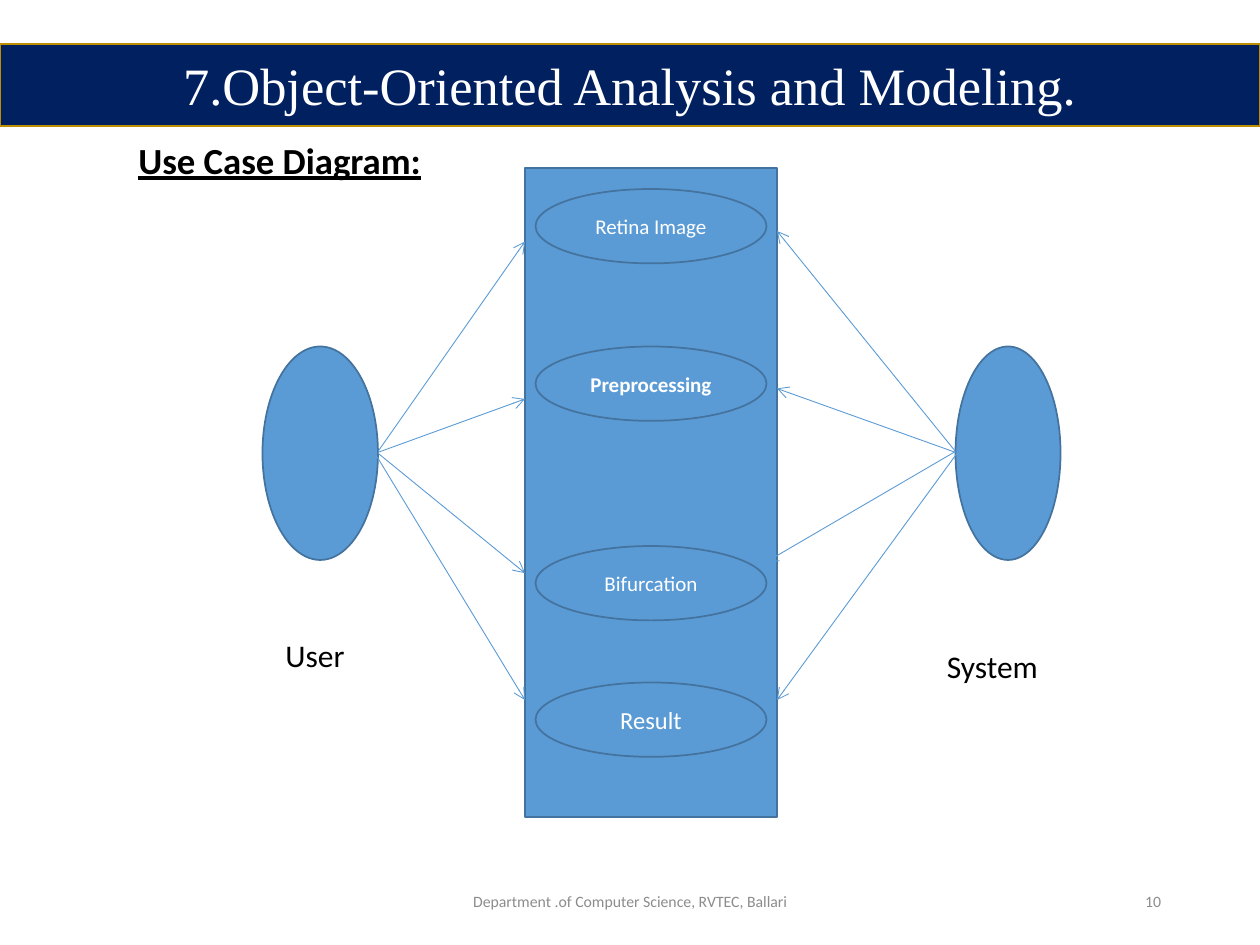
"""Build a use case diagram slide linking a user and a system to four steps."""
from lxml.etree import SubElement
from pptx import Presentation
from pptx.dml.color import RGBColor
from pptx.enum.shapes import MSO_CONNECTOR, MSO_SHAPE
from pptx.enum.text import MSO_ANCHOR, MSO_AUTO_SIZE, PP_ALIGN
from pptx.oxml.ns import qn
from pptx.util import Pt

BLUE, EDGE, WHITE, BLACK, GRAY = "5B9BD5", "43739E", "FFFFFF", "000000", "8C8C8C"


def color(hex_string):
    return RGBColor.from_string(hex_string)


def write(shape, text, size, hex_string, align=PP_ALIGN.CENTER, anchor=MSO_ANCHOR.MIDDLE, name="Calibri"):
    text_frame = shape.text_frame
    text_frame.text = text
    text_frame.word_wrap = True
    text_frame.vertical_anchor = anchor
    paragraph = text_frame.paragraphs[0]
    paragraph.alignment = align
    font = paragraph.runs[0].font
    font.name, font.size = name, Pt(size)
    font.color.rgb = color(hex_string)
    return paragraph


presentation = Presentation()
presentation.slide_width, presentation.slide_height = Pt(720), Pt(540)
slide = presentation.slides.add_slide(presentation.slide_layouts[6])
shapes = slide.shapes

heading = shapes.add_textbox(Pt(72), Pt(78), Pt(612), Pt(402))
paragraph = write(heading, "Use Case Diagram:", 21, BLACK, PP_ALIGN.LEFT, MSO_ANCHOR.TOP)
paragraph.line_spacing = 0.9
paragraph.space_before = Pt(7.5)
paragraph.runs[0].font.bold = True
paragraph.runs[0].font.underline = True

for text, left, width, align in [
    ("Department .of Computer Science, RVTEC, Ballari", 238.5, 243, PP_ALIGN.CENTER),
    ("10", 508.5, 162, PP_ALIGN.RIGHT),
]:
    footer = shapes.add_textbox(Pt(left), Pt(500.5), Pt(width), Pt(28.75))
    write(footer, text, 9, GRAY, align)

steps = [
    ("Retina Image", 108, 12),
    ("Preprocessing", 198, 12),
    ("Bifurcation", 312, 12),
    ("Result", 390, 14),
]
outlines = [
    (MSO_SHAPE.RECTANGLE, 0, 25, 720, 47, "002060", "BD8E00", "7.Object-Oriented Analysis and Modeling.", 30),
    (MSO_SHAPE.RECTANGLE, 300, 96, 144, 371, BLUE, EDGE, "", 0),
]
for text, top, size in steps:
    outlines.append((MSO_SHAPE.OVAL, 306, top, 132, 42.5, BLUE, EDGE, text, size))
for left, width in [(150, 66), (546, 60)]:
    outlines.append((MSO_SHAPE.OVAL, left, 198, width, 122, BLUE, EDGE, "", 0))

for kind, left, top, width, height, fill, line, text, size in outlines:
    shape = shapes.add_shape(kind, Pt(left), Pt(top), Pt(width), Pt(height))
    shape.shadow.inherit = False
    shape.fill.solid()
    shape.fill.fore_color.rgb = color(fill)
    shape.line.color.rgb = color(line)
    shape.line.width = Pt(1)
    if text:
        paragraph = write(shape, text, size, WHITE, name="Times New Roman" if size == 30 else "Calibri")
        paragraph.runs[0].font.bold = text == "Preprocessing"

for text, left, top, width in [("User", 156, 360, 49), ("System", 534, 366, 67)]:
    label = shapes.add_textbox(Pt(left), Pt(top), Pt(width), Pt(26))
    write(label, text, 18, BLACK, PP_ALIGN.LEFT, MSO_ANCHOR.TOP)
    label.text_frame.word_wrap = False
    label.text_frame.auto_size = MSO_AUTO_SIZE.SHAPE_TO_FIT_TEXT

arrows = [
    (216, 258, 300, 138),
    (216, 258.5, 300, 228),
    (216, 259, 300, 327.5),
    (210, 252, 300, 400),
    (546, 258, 444, 132),
    (546, 258.5, 444, 222),
    (546, 258, 438, 321),
    (552, 252, 444, 400),
]
for ends in arrows:
    connector = shapes.add_connector(MSO_CONNECTOR.STRAIGHT, *map(Pt, ends))
    connector.line.color.rgb = color(BLUE)
    connector.line.width = Pt(0.5)
    SubElement(connector.line._get_or_add_ln(), qn("a:tailEnd"), type="arrow")
    SubElement(connector._element.spPr, qn("a:effectLst"))

presentation.save("out.pptx")
